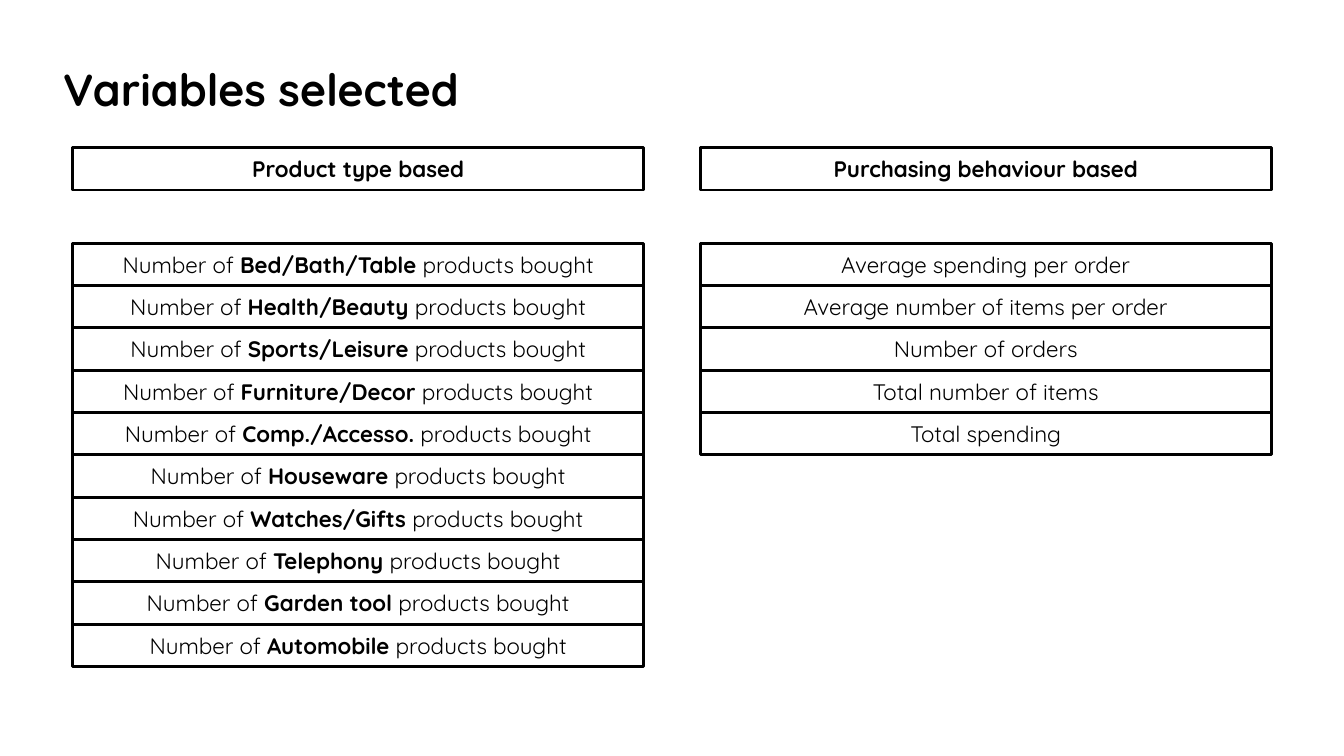
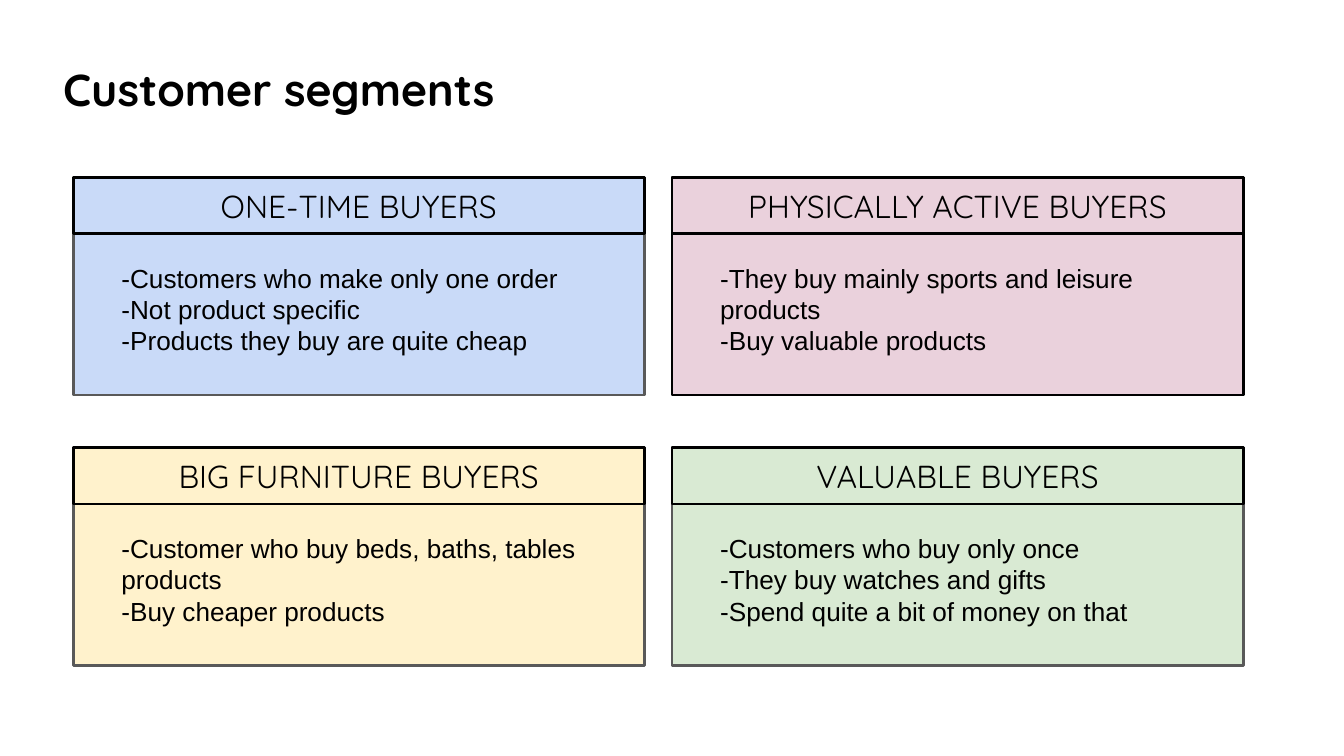
from pptx import Presentation
from pptx.dml.color import RGBColor
from pptx.enum.shapes import MSO_SHAPE
from pptx.enum.text import MSO_ANCHOR, MSO_AUTO_SIZE, PP_ALIGN
from pptx.util import Pt

RECT = MSO_SHAPE.RECTANGLE
LEFT, CENTER = PP_ALIGN.LEFT, PP_ALIGN.CENTER
TOP, MIDDLE = MSO_ANCHOR.TOP, MSO_ANCHOR.MIDDLE
FIXED, GROW = MSO_AUTO_SIZE.NONE, MSO_AUTO_SIZE.SHAPE_TO_FIT_TEXT
TITLE_ONLY = 5
PX = 4572

COLORS = {
    "ink": "000000",
    "gray": "595959",
    "blue": "C9DAF8",
    "pink": "EAD1DC",
    "yellow": "FFF2CC",
    "green": "D9EAD3",
}
HEAD = "Quicksand"
BODY = "Arial"
WIDE = 850
ROW = 63
CARD = 324
BAND = 84

GOODS = [
    "Bed/Bath/Table", "Health/Beauty", "Sports/Leisure", "Furniture/Decor",
    "Comp./Accesso.", "Houseware", "Watches/Gifts", "Telephony",
    "Garden tool", "Automobile",
]
HABITS = [
    "Average spending per order", "Average number of items per order",
    "Number of orders", "Total number of items", "Total spending",
]
GROUPS = [
    ("ONE-TIME BUYERS", "blue", "gray", 746, [
        "-Customers who make only one order",
        "-Not product specific",
        "-Products they buy are quite cheap",
    ]),
    ("PHYSICALLY ACTIVE BUYERS", "pink", "ink", 768, [
        "-They buy mainly sports and leisure products",
        "-Buy valuable products",
    ]),
    ("BIG FURNITURE BUYERS", "yellow", "gray", 746, [
        "-Customer who buy beds, baths, tables products",
        "-Buy cheaper products",
    ]),
    ("VALUABLE BUYERS", "green", "gray", 746, [
        "-Customers who buy only once",
        "-They buy watches and gifts",
        "-Spend quite a bit of money on that",
    ]),
]


def color(name):
    return RGBColor.from_string(COLORS[name])


def apply(item, values):
    for name, value in values.items():
        setattr(item, name, value)


def place(x, y, w, h):
    return [side * PX for side in (x, y, w, h)]


def write(shape, lines, size, font=HEAD, align=CENTER, anchor=MIDDLE, inset=10, fit=FIXED):
    frame = shape.text_frame
    margins = ("margin_left", "margin_top", "margin_right", "margin_bottom")
    apply(frame, dict.fromkeys(margins, inset * PX))
    apply(frame, {"word_wrap": True, "auto_size": fit, "vertical_anchor": anchor})
    for i, line in enumerate(lines):
        para = frame.add_paragraph() if i else frame.paragraphs[0]
        para.alignment = align
        for text, bold in line:
            run = para.add_run()
            run.text = text
            apply(run.font, {"name": font, "size": Pt(size), "bold": bold})
            run.font.color.rgb = color("ink")


def add_title(deck, text):
    slide = deck.slides.add_slide(deck.slide_layouts[TITLE_ONLY])
    title = slide.shapes.title
    apply(title, dict(zip(("left", "top", "width", "height"), place(84, 78, 1874, 108))))
    write(title, [[(text, True)]], 24, align=LEFT)
    return slide


def add_box(slide, x, y, h, fill=None, edge="ink"):
    box = slide.shapes.add_shape(RECT, *place(x, y, WIDE, h))
    box.shadow.inherit = False
    if fill:
        box.fill.solid()
        box.fill.fore_color.rgb = color(fill)
    else:
        box.fill.background()
    box.line.color.rgb = color(edge)
    box.line.width = Pt(1.5)
    return box


def add_list(slide, x, head, rows):
    write(add_box(slide, x, 220, ROW), [[(head, True)]], 12)
    for i, runs in enumerate(rows):
        write(add_box(slide, x, 362 + i * ROW, ROW), [runs], 12)


def add_card(slide, x, y, name, fill, edge, width, lines):
    add_box(slide, x, y, CARD, fill, edge)
    write(add_box(slide, x, y, BAND), [[(name, False)]], 17)
    note = slide.shapes.add_textbox(*place(x + 52, y + 106, width, 182))
    write(note, [[(line, False)] for line in lines], 14, BODY, LEFT, TOP, 20, GROW)


def main():
    deck = Presentation()
    apply(deck, {"slide_width": 2000 * PX, "slide_height": 1125 * PX})

    slide = add_title(deck, "Variables selected")
    goods = [[("Number of ", False), (name, True), (" products bought", False)]
             for name in GOODS]
    add_list(slide, 108, "Product type based", goods)
    add_list(slide, 1042, "Purchasing behaviour based", [[(name, False)] for name in HABITS])

    slide = add_title(deck, "Customer segments")
    for i, group in enumerate(GROUPS):
        row, col = divmod(i, 2)
        add_card(slide, 109 + col * 891, 264 + row * 402, *group)

    deck.save("out.pptx")


if __name__ == "__main__":
    main()
